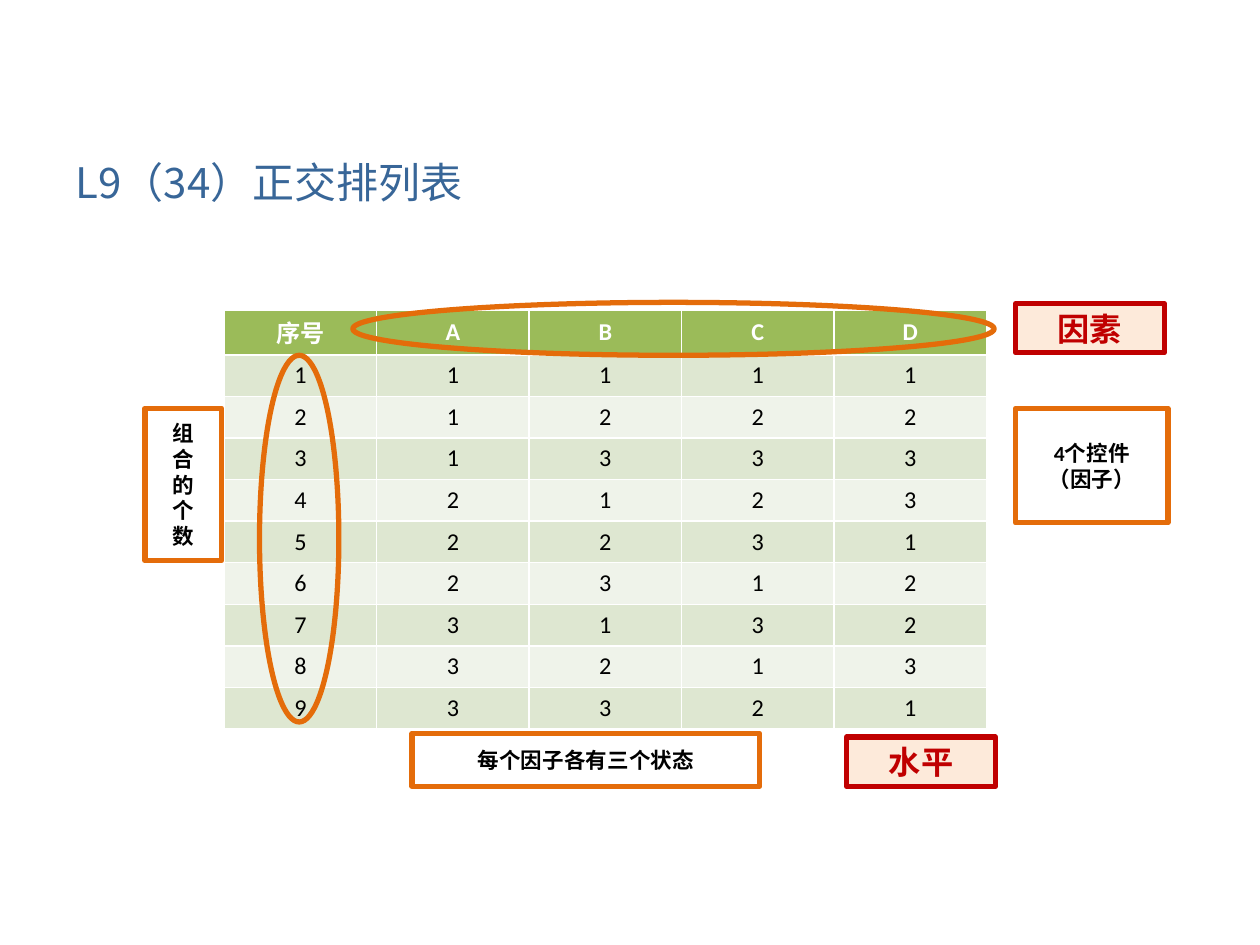
from dataclasses import dataclass

from pptx import Presentation
from pptx.dml.color import RGBColor
from pptx.enum.shapes import MSO_SHAPE
from pptx.enum.text import MSO_ANCHOR, MSO_AUTO_SIZE, PP_ALIGN
from pptx.util import Inches, Pt


@dataclass(frozen=True)
class Theme:
    font: str = "Calibri"
    title_font: str = "Noto Sans CJK SC"
    title_color: str = "386698"
    header_fill: str = "9BBB59"
    band_fills: tuple = ("DEE7D1", "EFF3EA")
    header_text: str = "FFFFFF"
    text: str = "000000"
    note_line: str = "E46C0A"
    term_line: str = "C00000"
    term_fill: str = "FDEADA"
    title_size: float = 24
    table_size: float = 13.8
    note_size: float = 12.3
    term_size: float = 18.4
    line_width: float = 3


THEME = Theme()

TABLE_LEFT, TABLE_TOP = 1.78, 2.46
COLUMN_WIDTH, ROW_HEIGHT = 1.21, 0.33
HEADERS = ["序号", "A", "B", "C", "D"]
LEVELS = ["1111", "1222", "1333", "2123", "2231", "2312", "3132", "3213", "3321"]

RINGS = [(2.8, 2.4, 5.09, 0.42), (2.06, 2.82, 0.63, 2.91)]
NOTES = [
    (["组", "合", "的", "个", "数"], (1.15, 3.24, 0.61, 1.21)),
    (["4个控件", "（因子）"], (8.06, 3.24, 1.21, 0.91)),
    (["每个因子各有三个状态"], (3.27, 5.82, 2.76, 0.42)),
]
TERMS = [("因素", (8.06, 2.41, 1.18, 0.39)), ("水平", (6.72, 5.85, 1.18, 0.39))]


def color(code):
    return RGBColor.from_string(code)


def add_span(para, text, size, code, bold=False, font=THEME.font):
    span = para.add_run()
    span.text = text
    span.font.name = font
    span.font.size = Pt(size)
    span.font.bold = bold
    span.font.color.rgb = color(code)


def add_title(page, text, place):
    title = page.shapes.title
    title.left, title.top, title.width, title.height = map(Inches, place)
    frame = title.text_frame
    frame.auto_size = MSO_AUTO_SIZE.NONE
    frame.vertical_anchor = MSO_ANCHOR.TOP
    para = frame.paragraphs[0]
    para.alignment = PP_ALIGN.LEFT
    para.line_spacing = 0.9
    add_span(para, text, THEME.title_size, THEME.title_color, font=THEME.title_font)


def fill_cell(cell, text, fill, code, bold):
    cell.fill.solid()
    cell.fill.fore_color.rgb = color(fill)
    cell.vertical_anchor = MSO_ANCHOR.MIDDLE
    cell.margin_top = cell.margin_bottom = Inches(0.04)
    para = cell.text_frame.paragraphs[0]
    para.alignment = PP_ALIGN.CENTER
    add_span(para, text, THEME.table_size, code, bold)


def add_array_table(page):
    """Number the level combinations and band them below the header."""
    rows = [HEADERS] + [[str(n), *levels] for n, levels in enumerate(LEVELS, 1)]
    table = page.shapes.add_table(
        len(rows), len(HEADERS), Inches(TABLE_LEFT), Inches(TABLE_TOP),
        Inches(COLUMN_WIDTH * len(HEADERS)), Inches(ROW_HEIGHT * len(rows)),
    ).table
    for r, values in enumerate(rows):
        table.rows[r].height = Inches(ROW_HEIGHT)
        is_header = r == 0
        fill = THEME.header_fill if is_header else THEME.band_fills[(r - 1) % 2]
        code = THEME.header_text if is_header else THEME.text
        for c, value in enumerate(values):
            fill_cell(table.cell(r, c), value, fill, code, is_header)


def add_outline(page, kind, place, line, fill=None):
    shape = page.shapes.add_shape(kind, *map(Inches, place))
    shape.shadow.inherit = False
    shape.line.color.rgb = color(line)
    shape.line.width = Pt(THEME.line_width)
    if fill:
        shape.fill.solid()
        shape.fill.fore_color.rgb = color(fill)
    else:
        shape.fill.background()
    return shape


def add_label(page, lines, place, line, size, code, fill=None):
    box = add_outline(page, MSO_SHAPE.RECTANGLE, place, line, fill)
    frame = box.text_frame
    frame.word_wrap = True
    frame.vertical_anchor = MSO_ANCHOR.MIDDLE
    for index, text in enumerate(lines):
        para = frame.add_paragraph() if index else frame.paragraphs[0]
        para.alignment = PP_ALIGN.CENTER
        add_span(para, text, size, code, bold=True)


def main():
    deck = Presentation()
    deck.slide_width, deck.slide_height = Inches(10), Inches(7.5)
    page = deck.slides.add_slide(deck.slide_layouts[5])

    add_array_table(page)
    for place in RINGS:
        add_outline(page, MSO_SHAPE.OVAL, place, THEME.note_line)
    for lines, place in NOTES:
        add_label(page, lines, place, THEME.note_line, THEME.note_size, THEME.text)
    for text, place in TERMS:
        add_label(page, [text], place, THEME.term_line, THEME.term_size,
                  THEME.term_line, THEME.term_fill)
    add_title(page, "L9（34）正交排列表", (0.5, 1.24, 4.39, 0.6))
    deck.save("out.pptx")


if __name__ == "__main__":
    main()
